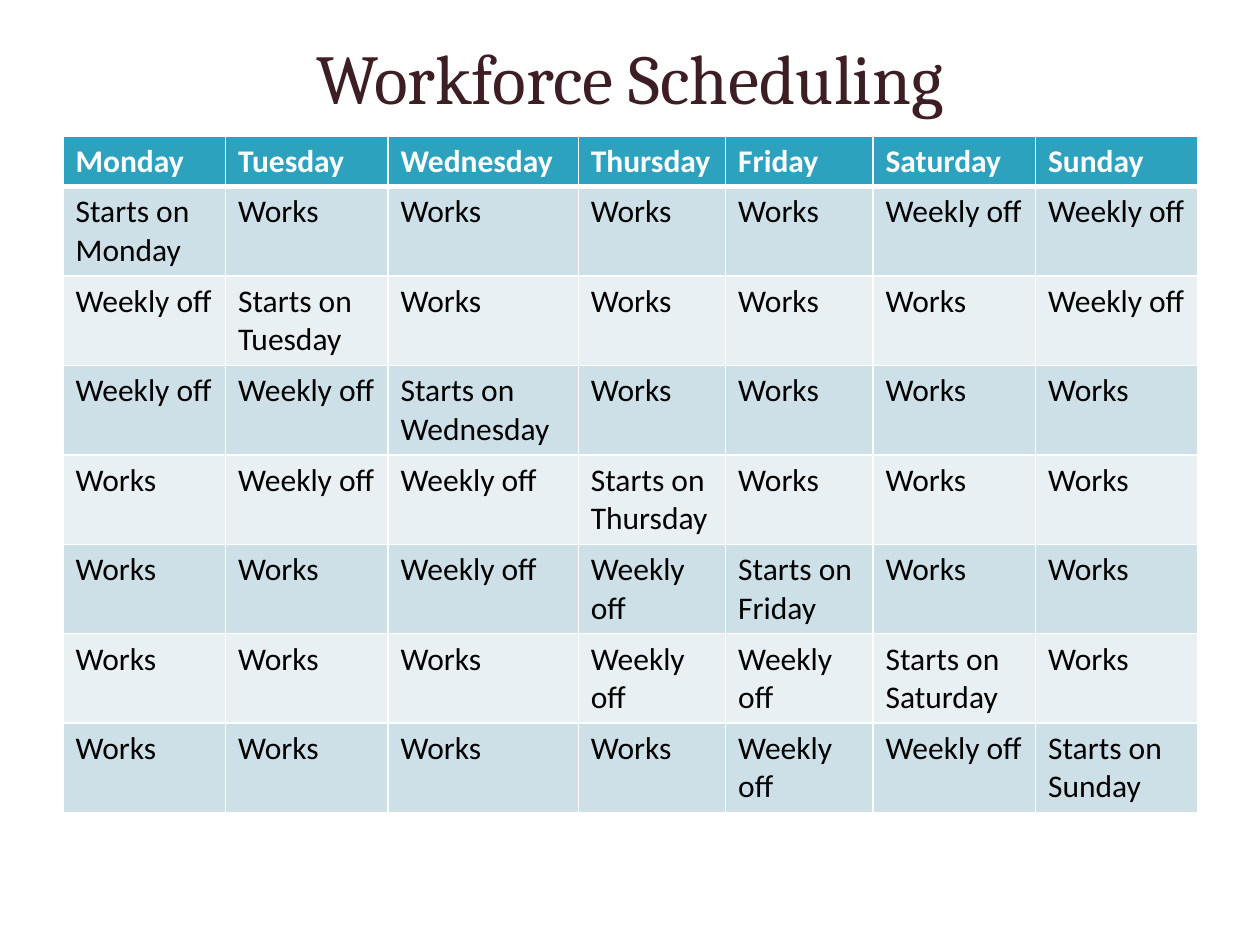
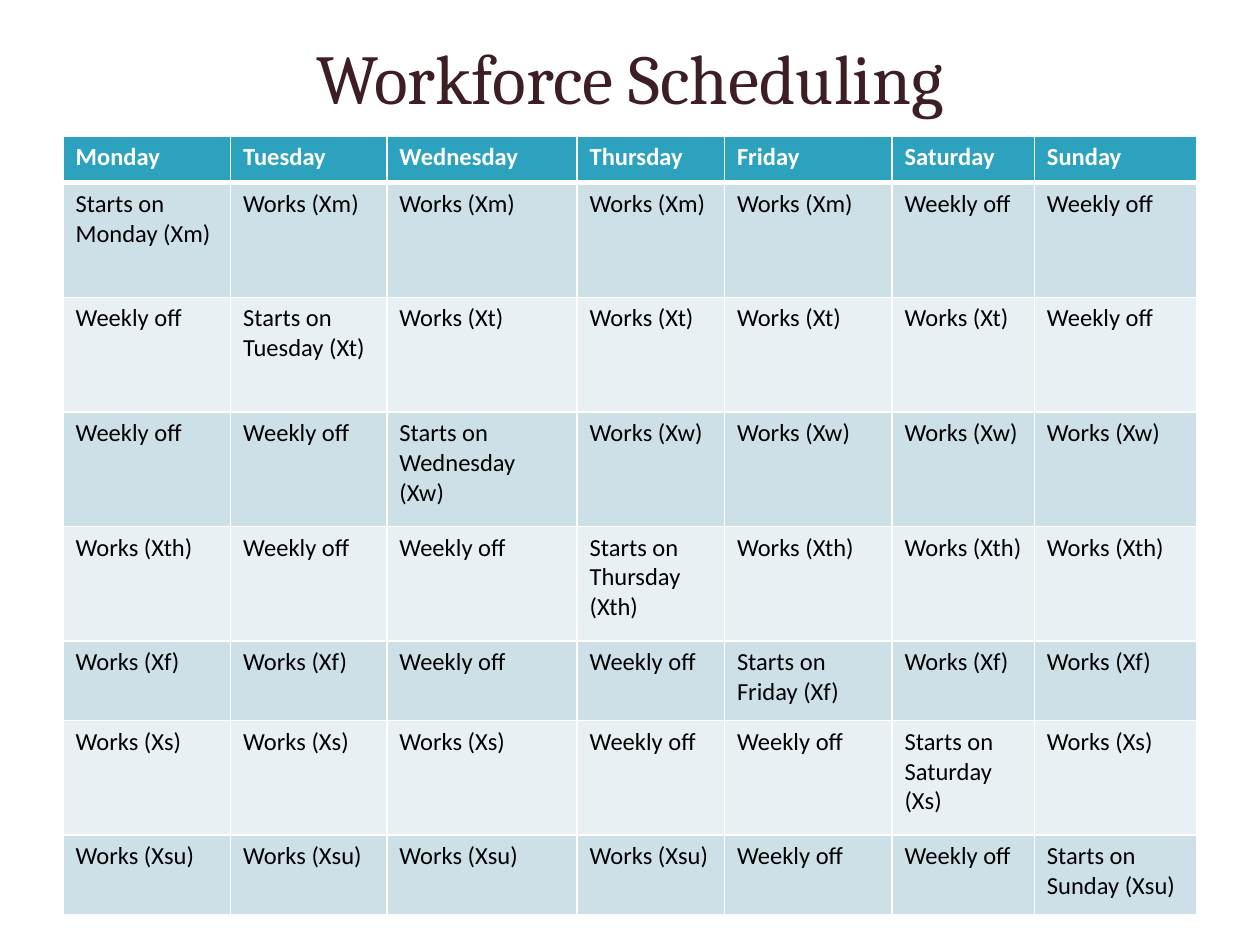
from lxml import etree
from pptx import Presentation
from pptx.dml.color import RGBColor
from pptx.enum import text
from pptx.oxml import ns
from pptx.util import Inches, Pt

TITLE_COLOR = RGBColor(0x3E, 0x1E, 0x25)
HEADER_FILL = RGBColor(0x2D, 0xA2, 0xBF)
BANDS = [RGBColor(0xCD, 0xE0, 0xE8), RGBColor(0xE8, 0xF0, 0xF4)]
WHITE = RGBColor(0xFF, 0xFF, 0xFF)
BLACK = RGBColor(0x00, 0x00, 0x00)

DAYS = ["Monday", "Tuesday", "Wednesday", "Thursday", "Friday", "Saturday", "Sunday"]
WORK_DAYS = 5

# What differs between the slides: text size, variable names, column and row sizes
SCHEDULES = [
    (18, [""] * 7,
     [1.29, 1.29, 1.51, 1.17, 1.17, 1.29, 1.29], [0.4] + [0.71] * 7),
    (14, [" (Xm)", " (Xt)", " (Xw)", " (Xth)", " (Xf)", " (Xs)", " (Xsu)"],
     [1.33, 1.24, 1.51, 1.17, 1.33, 1.13, 1.29],
     [0.37, 0.91, 0.91, 0.91, 0.91, 0.63, 0.91, 0.63]),
]


def add_run(para, words, font, size, color, bold=False):
    span = para.add_run()
    span.text = words
    span.font.name = font
    span.font.size = Pt(size)
    span.font.bold = bold
    span.font.color.rgb = color


def add_border(cell, side, points):
    properties = cell._tc.get_or_add_tcPr()
    line = etree.SubElement(properties, ns.qn("a:ln" + side), w=str(Pt(points)))
    fill = etree.SubElement(line, ns.qn("a:solidFill"))
    etree.SubElement(fill, ns.qn("a:srgbClr"), val=str(WHITE))


deck = Presentation()
deck.slide_width = Inches(10)
deck.slide_height = Inches(7.5)

for size, variables, widths, heights in SCHEDULES:
    page = deck.slides.add_slide(deck.slide_layouts[6])

    # Title
    box = page.shapes.add_textbox(Inches(0.5), Inches(0.3), Inches(9), Inches(0.62))
    frame = box.text_frame
    frame.word_wrap = True
    frame.vertical_anchor = text.MSO_ANCHOR.MIDDLE
    para = frame.paragraphs[0]
    para.alignment = text.PP_ALIGN.CENTER
    add_run(para, "Workforce Scheduling", "Cambria", 40, TITLE_COLOR)

    # Each row is one shift: five working days from its start day, then two off
    rows = [DAYS]
    for start, variable in enumerate(variables):
        shift = []
        for day in range(len(DAYS)):
            elapsed = (day - start) % len(DAYS)
            if elapsed == 0:
                shift.append(f"Starts on {DAYS[day]}{variable}")
            elif elapsed < WORK_DAYS:
                shift.append(f"Works{variable}")
            else:
                shift.append("Weekly off")
        rows.append(shift)

    # Table
    table = page.shapes.add_table(
        len(rows), len(DAYS), Inches(0.5), Inches(1.08),
        Inches(sum(widths)), Inches(sum(heights))).table
    for column, width in zip(table.columns, widths):
        column.width = Inches(width)
    for row, height in zip(table.rows, heights):
        row.height = Inches(height)

    for r, row in enumerate(rows):
        header = r == 0
        for c, words in enumerate(row):
            cell = table.cell(r, c)
            for side in "LRTB":
                heavy = (r, side) in [(0, "B"), (1, "T")]
                add_border(cell, side, 3 if heavy else 1)
            cell.fill.solid()
            cell.fill.fore_color.rgb = HEADER_FILL if header else BANDS[(r - 1) % 2]
            add_run(cell.text_frame.paragraphs[0], words, "Calibri", size,
                    WHITE if header else BLACK, bold=header)

deck.save("out.pptx")
